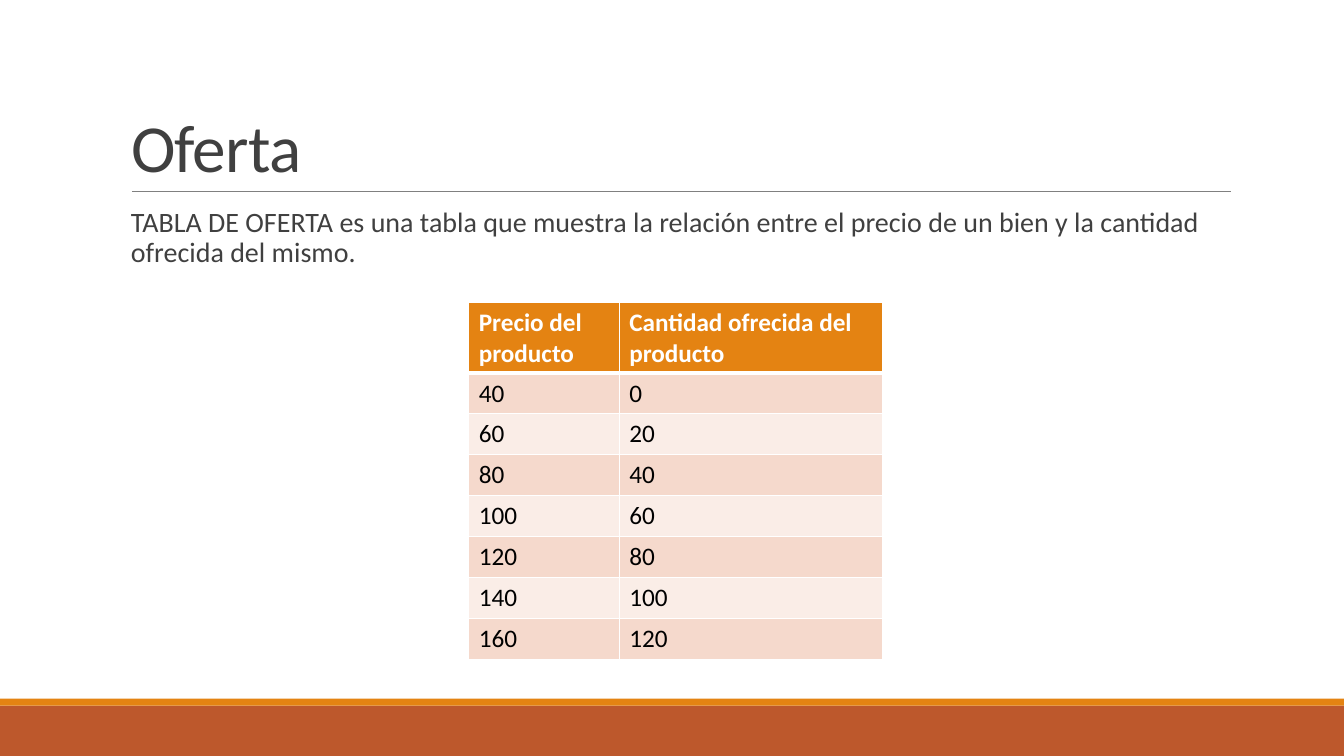
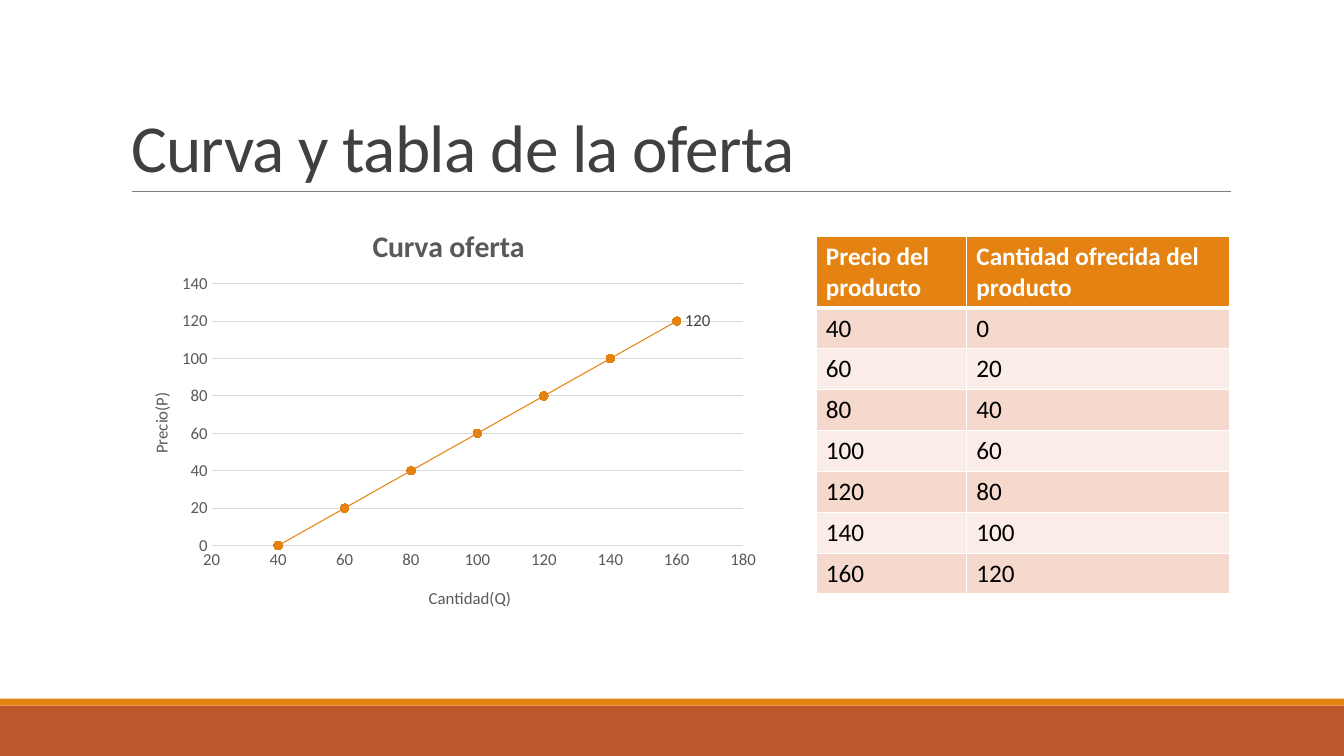
from pptx import Presentation
from pptx.chart.data import XyChartData
from pptx.dml.color import RGBColor
from pptx.enum import chart as ch, shapes, text
from pptx.oxml import parse_xml
from pptx.oxml.ns import nsdecls, qn
from pptx.util import Pt

# Content
TITLES = ["Oferta", "Curva y tabla de la oferta"]
DEFINITION = ("TABLA DE OFERTA es una tabla que muestra la relación entre el "
              "precio de un bien y la cantidad ofrecida del mismo.")
HEADER = ("Precio del producto", "Cantidad ofrecida del producto")
SUPPLY = [(40, 0), (60, 20), (80, 40), (100, 60), (120, 80), (140, 100), (160, 120)]
CHART_TITLE = "Curva oferta"

# Shared style
FONT = "Calibri"
COLORS = dict(orange="E48312", rust="BD582C", ink="404040", rule="808080",
              band="F5D9CC", pale="FAEDE7", label="595959", grid="D9D9D9",
              white="FFFFFF", black="000000")
WIDTH, HEIGHT = 960, 540
LEFT, CONTENT_W, BODY_TOP = 86.4, 792, 145.4
COLUMNS, HEADER_H, ROW_H = (107.5, 188.1), 50.4, 29.2


def rgb(name):
    return RGBColor.from_string(COLORS[name])


def box(*lengths):
    return [Pt(v) for v in lengths]


def style_font(font, size, color, bold=False):
    font.name, font.size, font.bold = FONT, Pt(size), bold
    font.color.rgb = rgb(color)


def write(tf, content, size=18, color="ink", bold=False, spacing=None, tracking=None):
    p = tf.paragraphs[0]
    p.alignment = text.PP_ALIGN.LEFT
    if spacing:
        p.line_spacing = spacing
    r = p.add_run()
    r.text = content
    style_font(r.font, size, color, bold)
    if tracking:
        r.font._element.set("spc", str(int(tracking * 100)))


def add_band(s, top, height, color):
    band = s.shapes.add_shape(shapes.MSO_SHAPE.RECTANGLE, *box(0, top, WIDTH, height))
    band.shadow.inherit = False
    band.fill.solid()
    band.fill.fore_color.rgb = rgb(color)
    band.line.fill.background()


def add_slide(prs, title):
    s = prs.slides.add_slide(prs.slide_layouts.get_by_name("Title Only"))
    add_band(s, 504, 36, "rust")
    add_band(s, 499, 5, "orange")
    rule = s.shapes.add_connector(shapes.MSO_CONNECTOR.STRAIGHT,
                                  *box(94.3, 136.8, 879.1, 136.8))
    rule.line.color.rgb = rgb("rule")
    rule.line.width = Pt(0.5)
    rule._element.spPr.append(parse_xml(f"<a:effectLst {nsdecls('a')}/>"))
    sp = s.shapes.title
    sp.left, sp.top, sp.width, sp.height = box(LEFT, 22.6, CONTENT_W, 114.2)
    tf = sp.text_frame
    tf.word_wrap, tf.auto_size = True, text.MSO_AUTO_SIZE.NONE
    tf.vertical_anchor = text.MSO_ANCHOR.BOTTOM
    write(tf, title, size=48, spacing=0.85, tracking=-0.5)
    return s


def set_borders(cell, bottom):
    tc_pr = cell._tc.get_or_add_tcPr()
    for side, width in (("L", 1), ("R", 1), ("T", 1), ("B", bottom)):
        tc_pr.append(parse_xml(
            f'<a:ln{side} {nsdecls("a")} w="{Pt(width)}"><a:solidFill>'
            f'<a:srgbClr val="{COLORS["white"]}"/></a:solidFill></a:ln{side}>'))


def add_supply_table(s, left, top):
    rows = [HEADER] + SUPPLY
    table = s.shapes.add_table(
        len(rows), len(COLUMNS),
        *box(left, top, sum(COLUMNS), HEADER_H + ROW_H * len(SUPPLY))).table
    table.horz_banding = False
    for column, width in zip(table.columns, COLUMNS):
        column.width = Pt(width)
    for i, values in enumerate(rows):
        head = i == 0
        table.rows[i].height = Pt(HEADER_H if head else ROW_H)
        fill = "orange" if head else ("pale", "band")[i % 2]
        for j, value in enumerate(values):
            cell = table.cell(i, j)
            set_borders(cell, bottom=3 if head else 1)
            cell.fill.solid()
            cell.fill.fore_color.rgb = rgb(fill)
            write(cell.text_frame, str(value), bold=head,
                  color="white" if head else "black")


def place(part, x, y, w=None, h=None):
    """Set a manual layout, in fractions of the chart."""
    old = part.find(qn("c:layout"))
    if old is not None:
        part.remove(old)
    inner = '<c:layoutTarget val="inner"/>' if w else ""
    modes = '<c:xMode val="edge"/><c:yMode val="edge"/>'
    sizes = "".join(f'<c:{k} val="{v}"/>' for k, v in zip("xywh", (x, y, w, h)) if v)
    layout = parse_xml(f'<c:layout {nsdecls("c")}><c:manualLayout>{inner}{modes}{sizes}'
                       "</c:manualLayout></c:layout>")
    part.insert(0 if part.find(qn("c:tx")) is None else 1, layout)


def format_axis(axis, title, low, high):
    axis.minimum_scale, axis.maximum_scale, axis.major_unit = low, high, 20
    axis.major_tick_mark = axis.minor_tick_mark = ch.XL_TICK_MARK.NONE
    style_font(axis.tick_labels.font, 12, "label")
    write(axis.axis_title.text_frame, title, size=12, color="label")


def add_supply_chart(s):
    data = XyChartData()
    points = data.add_series("Series 1")
    for price, quantity in SUPPLY:
        points.add_data_point(price, quantity)
    chart = s.shapes.add_chart(ch.XL_CHART_TYPE.XY_SCATTER_SMOOTH,
                               *box(LEFT, BODY_TOP, 463, 301.7), data).chart
    style_font(chart.font, 10, "black")
    chart.has_legend = False
    chart.has_title = True
    write(chart.chart_title.text_frame, CHART_TITLE, size=21.3, color="label", bold=True)

    # Axes
    x_axis, y_axis = chart.category_axis, chart.value_axis
    format_axis(x_axis, "Cantidad(Q)", 20, 180)
    format_axis(y_axis, "Precio(P)", 0, 140)
    x_axis.has_major_gridlines = False
    y_axis.has_major_gridlines = True
    for line, width in ((x_axis.format.line, 1), (y_axis.major_gridlines.format.line, 0.75)):
        line.color.rgb = rgb("grid")
        line.width = Pt(width)
    y_axis.format.line.fill.background()

    # Curve
    plot = chart.plots[0]
    plot.vary_by_categories = False
    curve = plot.series[0]
    curve.format.line.color.rgb = rgb("orange")
    curve.format.line.width = Pt(0.75)
    marker = curve.marker
    marker.style, marker.size = ch.XL_MARKER_STYLE.CIRCLE, 6
    marker.format.fill.solid()
    marker.format.fill.fore_color.rgb = rgb("orange")
    marker.format.line.color.rgb = rgb("orange")
    label = curve.points[len(SUPPLY) - 1].data_label
    style_font(label.font, 12, "ink")
    label.position = ch.XL_LABEL_POSITION.RIGHT

    # Only the last point is labelled; titles and plot get fixed places
    root = chart._chartSpace
    for flag in root.xpath(".//c:ser/c:dLbls/c:showVal"):
        flag.set("val", "0")
    root.xpath(".//c:valAx[2]/c:title//a:bodyPr")[0].set("rot", "-5400000")
    place(root.xpath("./c:chart/c:title")[0], 0.38, 0.04)
    place(root.xpath(".//c:valAx[1]/c:title")[0], 0.47, 0.9)
    place(root.xpath(".//c:valAx[2]/c:title")[0], 0.04, 0.44)
    place(root.xpath(".//c:plotArea")[0], 0.14, 0.19, 0.82, 0.62)


def main():
    prs = Presentation()
    prs.slide_width, prs.slide_height = box(WIDTH, HEIGHT)
    table_slide, curve_slide = [add_slide(prs, title) for title in TITLES]

    # Definition and table
    tf = table_slide.shapes.add_textbox(*box(LEFT, BODY_TOP, CONTENT_W, 60)).text_frame
    tf.word_wrap = True
    write(tf, DEFINITION, size=20, spacing=0.9)
    add_supply_table(table_slide, 334.8, 216)

    # Curve and table
    add_supply_chart(curve_slide)
    add_supply_table(curve_slide, LEFT + CONTENT_W - sum(COLUMNS), 168.8)
    prs.save("out.pptx")


if __name__ == "__main__":
    main()
